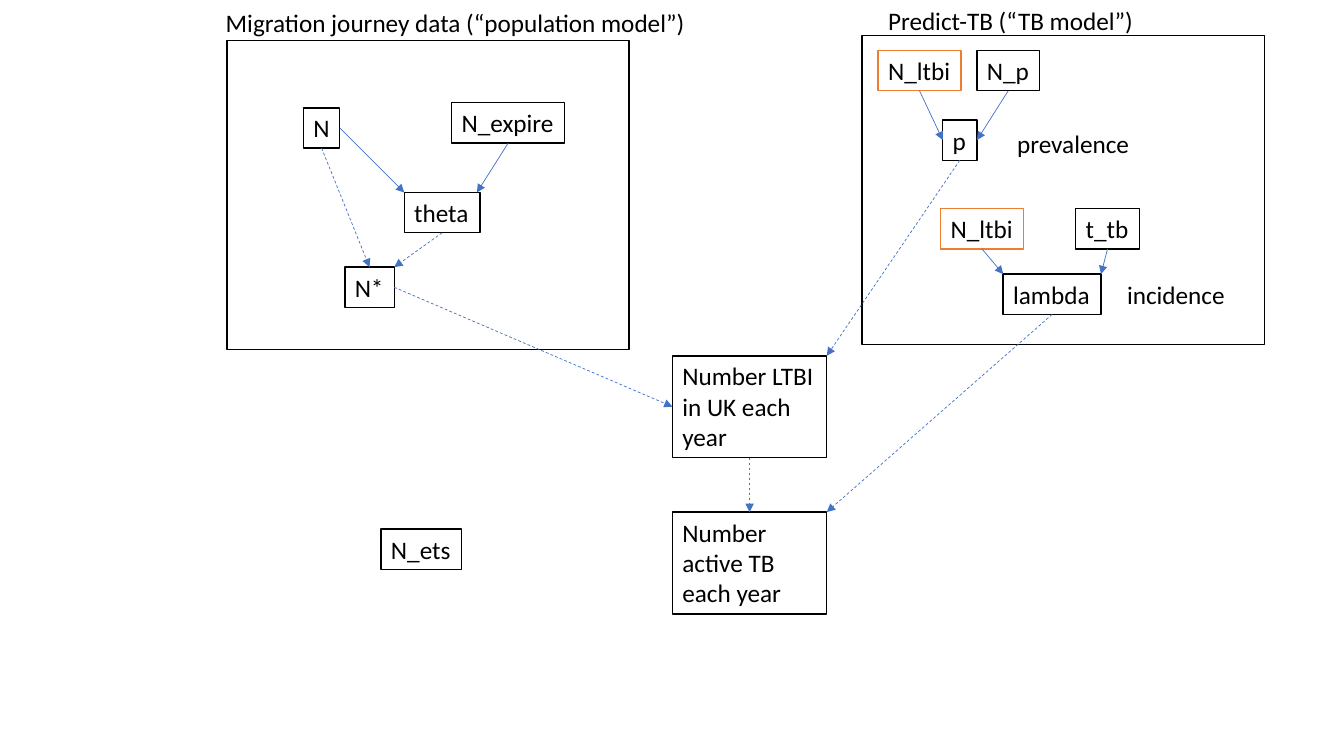
from lxml import etree
from pptx import Presentation
from pptx import util as u
from pptx.dml.color import RGBColor
from pptx.enum import dml, shapes, text
from pptx.oxml.ns import qn

PX = 9144
COLORS = {"paper": "FFFFFF", "ink": "000000", "latent": "ED7D31", "arrow": "4472C4"}
ROW = 40
TOP, LEFT, BOTTOM, RIGHT = range(4)
TOP_LEFT, TOP_RIGHT = (0, 0), (1, 0)


def color(name):
    return RGBColor.from_string(COLORS[name])


def write(shape, words, wrap):
    frame = shape.text_frame
    frame.word_wrap = wrap
    frame.auto_size = text.MSO_AUTO_SIZE.SHAPE_TO_FIT_TEXT
    frame.vertical_anchor = text.MSO_ANCHOR.TOP
    frame.text = words
    paragraph = frame.paragraphs[0]
    paragraph.alignment = text.PP_ALIGN.LEFT
    paragraph.font.name = "Calibri"
    paragraph.font.size = u.Pt(18)
    paragraph.font.color.rgb = color("ink")


def add_box(slide, x, y, width, height=ROW, words="", outline="ink", wrap=False):
    box = slide.shapes.add_shape(
        shapes.MSO_SHAPE.RECTANGLE, x * PX, y * PX, width * PX, height * PX)
    box.shadow.inherit = False
    box.fill.solid()
    box.fill.fore_color.rgb = color("paper")
    box.line.color.rgb = color(outline)
    box.line.width = u.Pt(1)
    if words:
        write(box, words, wrap)
    return box


def add_label(slide, x, y, width, words):
    label = slide.shapes.add_textbox(x * PX, y * PX, width * PX, ROW * PX)
    write(label, words, False)


def add_arrow(slide, source, side, target, end, dashed=False):
    corner = end if isinstance(end, tuple) else (0, 0)
    arrow = slide.shapes.add_connector(
        shapes.MSO_CONNECTOR.STRAIGHT, source.left, source.top,
        target.left + int(target.width * corner[0]),
        target.top + int(target.height * corner[1]))
    arrow.begin_connect(source, side)
    if not isinstance(end, tuple):
        arrow.end_connect(target, end)
    arrow.line.color.rgb = color("arrow")
    arrow.line.width = u.Pt(0.5)
    if dashed:
        arrow.line.dash_style = dml.MSO_LINE.DASH
    etree.SubElement(arrow.line._get_or_add_ln(), qn("a:tailEnd"), type="triangle")
    etree.SubElement(arrow._element.spPr, qn("a:effectLst"))


def add_population_model(slide, x, y, width, height):
    add_box(slide, x, y, width, height)
    add_label(slide, x - 11, y - 38, 481, "Migration journey data (“population model”)")
    migrants = add_box(slide, x + 76, y + 67, 36, words="N")
    remaining = add_box(slide, x + 117, y + 225, 49, words="N*")
    theta = add_box(slide, x + 176, y + 151, 75, words="theta")
    expired = add_box(slide, x + 223, y + 62, 112, words="N_expire")
    add_arrow(slide, migrants, RIGHT, theta, TOP_LEFT)
    add_arrow(slide, expired, BOTTOM, theta, (0.96, 0))
    add_arrow(slide, migrants, BOTTOM, remaining, TOP, dashed=True)
    add_arrow(slide, theta, BOTTOM, remaining, TOP_RIGHT, dashed=True)
    return remaining


def add_tb_model(slide, x, y, width, height):
    add_box(slide, x, y, width, height)
    add_label(slide, x + 16, y - 35, 266, "Predict-TB (“TB model”)")
    prevalence = add_box(slide, x + 80, y + 84, 34, words="p")
    latent = add_box(slide, x + 16, y + 15, 82, words="N_ltbi", outline="latent")
    population = add_box(slide, x + 114, y + 15, 62, words="N_p")
    add_arrow(slide, latent, BOTTOM, prevalence, LEFT)
    add_arrow(slide, population, BOTTOM, prevalence, RIGHT)
    add_label(slide, x + 144, y + 87, 133, "prevalence")

    incidence = add_box(slide, x + 140, y + 237, 97, words="lambda")
    latent = add_box(slide, x + 78, y + 172, 82, words="N_ltbi", outline="latent")
    time_to_tb = add_box(slide, x + 212, y + 172, 63, words="t_tb")
    add_arrow(slide, latent, BOTTOM, incidence, TOP_LEFT)
    add_arrow(slide, time_to_tb, BOTTOM, incidence, TOP_RIGHT)
    add_label(slide, x + 253, y + 237, 118, "incidence")
    return prevalence, incidence


def add_outcomes(slide, x, y, width, height, remaining, prevalence, incidence):
    box_height = 101
    latent_cases = add_box(slide, x, y, width, box_height,
                           "Number LTBI in UK each year", wrap=True)
    active_cases = add_box(slide, x, y + height - box_height, width, box_height,
                           "Number active TB each year", wrap=True)
    add_arrow(slide, remaining, RIGHT, latent_cases, LEFT, dashed=True)
    add_arrow(slide, prevalence, BOTTOM, latent_cases, TOP_RIGHT, dashed=True)
    add_arrow(slide, latent_cases, BOTTOM, active_cases, TOP, dashed=True)
    add_arrow(slide, incidence, BOTTOM, active_cases, TOP_RIGHT, dashed=True)


def main():
    deck = Presentation()
    deck.slide_width = 1333 * PX
    deck.slide_height = 750 * PX
    slide = deck.slides.add_slide(deck.slide_layouts[6])
    prevalence, incidence = add_tb_model(slide, 855, 35, 399, 307)
    remaining = add_population_model(slide, 225, 40, 399, 307)
    add_outcomes(slide, 667, 353, 153, 256, remaining, prevalence, incidence)
    add_box(slide, 378, 525, 80, words="N_ets")
    deck.save("out.pptx")


if __name__ == "__main__":
    main()
